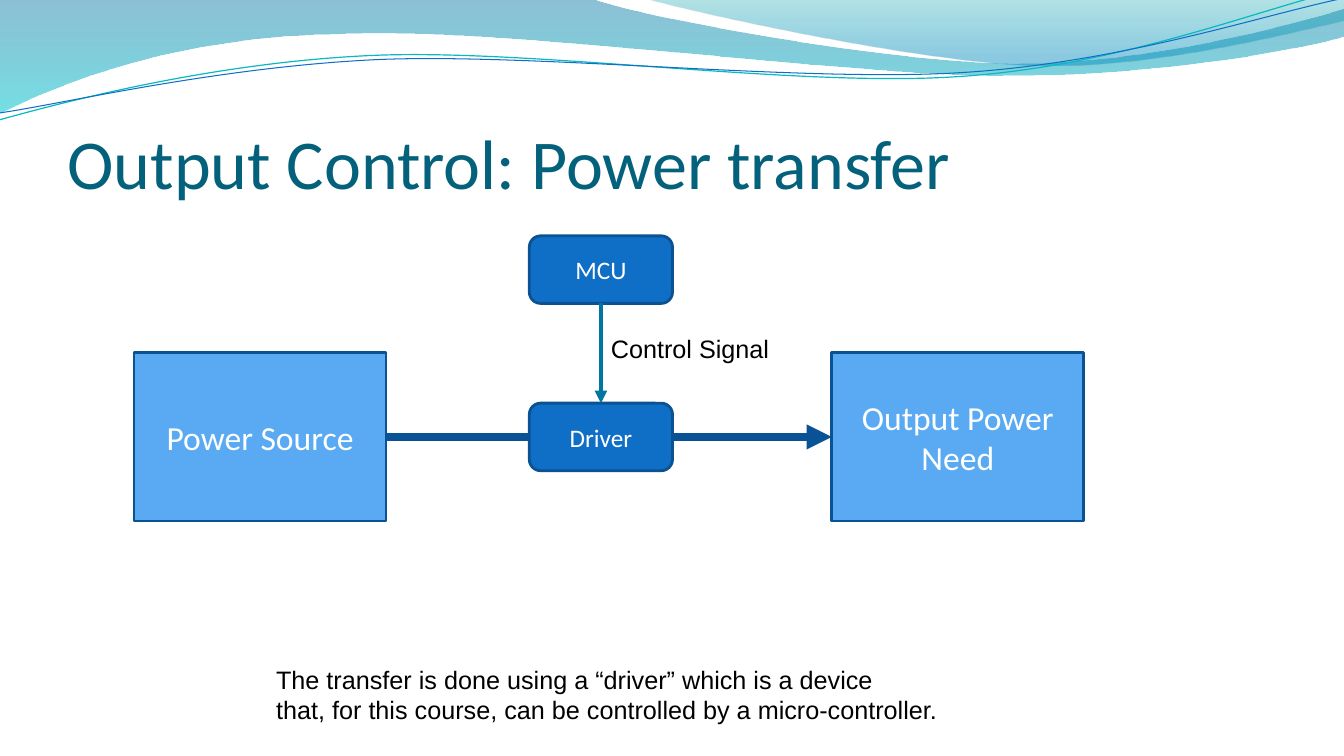
"""Build a slide on output control through a driver."""
from dataclasses import dataclass

from lxml import etree
from pptx import Presentation
from pptx import util as u
from pptx.dml.color import RGBColor
from pptx.enum import shapes, text
from pptx.oxml.ns import qn


@dataclass(frozen=True)
class Theme:
    """Colours, fonts and type sizes of the slide."""
    heading: str = "Calibri"
    body: str = "Arial"
    title: str = "04617B"
    block: str = "59AAF2"
    chip: str = "0F6FC6"
    outline: str = "0B5292"
    power: str = "095295"
    signal: str = "0076A3"
    wave_teal: str = "0AB8BF"
    white: str = "FFFFFF"
    black: str = "000000"
    title_size: int = 50
    block_size: int = 24
    small_size: int = 18
    left_wave: tuple = ((0, "0074A1", 45), (1, "00C6CF", 55))
    right_wave: tuple = ((0, "00A1A9", 30), (0.8, "008BBF", 45))


THEME = Theme()

LEFT_BAND = [
    [(0, 0)],
    [(5.87, -0.01)],
    [(6.34, 0.17), (8.85, 0.63), (10.11, 0.63)],
    [(11.38, 0.63), (12.78, 0.26), (13.33, 0.09)],
    [(13.35, 0.36)],
    [(13.11, 0.44), (11.6, 0.76), (9.94, 0.75)],
    [(8.29, 0.75), (5.09, 0.28), (3.43, 0.34)],
    [(1.72, 0.36), (0.61, 0.83), (-0.01, 1.13)],
]
RIGHT_BAND = [
    [(6.39, -0.01)],
    [(6.79, 0.11), (9.09, 0.62), (10.25, 0.65)],
    [(11.41, 0.69), (12.82, 0.32), (13.33, 0.21)],
    [(13.33, 0)],
]
TEAL_LINE = [
    [(-0.01, 1.19)],
    [(0.64, 1.01), (2.11, 0.62), (3.69, 0.55)],
    [(5.27, 0.48), (7.9, 0.87), (9.5, 0.76)],
    [(11.1, 0.66), (12.52, 0.08), (13.31, -0.1)],
]
BLUE_LINE = [
    [(0, 1.12)],
    [(0.63, 1.03), (2.18, 0.66), (3.78, 0.59)],
    [(5.37, 0.53), (7.96, 0.82), (9.55, 0.72)],
    [(11.15, 0.62), (12.55, 0.14), (13.34, -0.02)],
]


def rgb(value):
    """Return a colour object for a hex value."""
    return RGBColor.from_string(value)


def add_outline(slide, segments, close):
    """Add a freeform whose three-point segments are cubic curves."""
    points = [(u.Inches(x), u.Inches(y)) for segment in segments for x, y in segment]
    builder = slide.shapes.build_freeform(*points[0])
    builder.add_line_segments(points[1:], close=close)
    shape = builder.convert_to_shape()
    shape.shadow.inherit = False
    steps = shape.element.spPr.iter(qn("a:lnTo"))
    steps = iter(list(steps))
    for segment in segments[1:]:
        first, *others = [next(steps) for _ in segment]
        if others:
            first.tag = qn("a:cubicBezTo")
            for step in others:
                first.append(step[0])
                step.getparent().remove(step)
    return shape


def add_band(slide, segments, stops):
    """Add a wave band with a translucent vertical gradient."""
    shape = add_outline(slide, segments, close=True)
    shape.line.fill.background()
    shape.fill.gradient()
    shape.fill.gradient_angle = 270
    for stop, (position, color, _) in zip(shape.fill.gradient_stops, stops):
        stop.position = position
        stop.color.rgb = rgb(color)
    colors = shape.element.spPr.iter(qn("a:srgbClr"))
    for element, (_, _, opacity) in zip(colors, stops):
        etree.SubElement(element, qn("a:alpha"), val=str(opacity * 1000))


def add_wave_line(slide, segments, color, width):
    """Add a thin open wave line."""
    shape = add_outline(slide, segments, close=False)
    shape.fill.background()
    shape.line.color.rgb = rgb(color)
    shape.line.width = u.Pt(width)


def write(paragraph, content, font, size, color):
    """Add text to a paragraph, with a line break at each newline."""
    for number, line in enumerate(content.split("\n")):
        if number:
            paragraph.add_line_break()
        run = paragraph.add_run()
        run.text = line
        run.font.name = font
        run.font.size = u.Pt(size)
        run.font.color.rgb = rgb(color)


def set_title(slide, content):
    """Place and format the title."""
    title = slide.shapes.title
    title.left, title.top = u.Inches(0.67), u.Inches(0.77)
    title.width, title.height = u.Inches(12), u.Inches(1.25)
    frame = title.text_frame
    frame.auto_size = text.MSO_AUTO_SIZE.NONE
    frame.vertical_anchor = text.MSO_ANCHOR.BOTTOM
    frame.margin_left = frame.margin_right = frame.margin_bottom = 0
    frame.margin_top = u.Inches(0.05)
    frame.paragraphs[0].alignment = text.PP_ALIGN.LEFT
    write(frame.paragraphs[0], content, THEME.heading, THEME.title_size, THEME.title)


def add_box(slide, kind, place, content, fill, size):
    """Add a filled box with a centred label."""
    shape = slide.shapes.add_shape(kind, *map(u.Inches, place))
    shape.shadow.inherit = False
    shape.fill.solid()
    shape.fill.fore_color.rgb = rgb(fill)
    shape.line.color.rgb = rgb(THEME.outline)
    shape.line.width = u.Pt(2)
    frame = shape.text_frame
    frame.word_wrap = True
    frame.vertical_anchor = text.MSO_ANCHOR.MIDDLE
    frame.paragraphs[0].alignment = text.PP_ALIGN.CENTER
    write(frame.paragraphs[0], content, THEME.heading, size, THEME.white)
    return shape


def add_block(slide, left, content):
    """Add a large block on the power path."""
    return add_box(slide, shapes.MSO_SHAPE.RECTANGLE, (left, 3.5, 2.5, 1.67),
                   content, THEME.block, THEME.block_size)


def add_chip(slide, top, content):
    """Add a small rounded box in the control column."""
    return add_box(slide, shapes.MSO_SHAPE.ROUNDED_RECTANGLE, (5.25, top, 1.42, 0.67),
                   content, THEME.chip, THEME.small_size)


def add_arrow(slide, source, source_site, target, target_site, color, width):
    """Connect two boxes with an arrow."""
    arrow = slide.shapes.add_connector(shapes.MSO_CONNECTOR.STRAIGHT, 0, 0, 0, 0)
    arrow.begin_connect(source, source_site)
    arrow.end_connect(target, target_site)
    arrow.line.color.rgb = rgb(color)
    arrow.line.width = u.Pt(width)
    etree.SubElement(arrow.line._get_or_add_ln(), qn("a:tailEnd"), type="triangle")
    etree.SubElement(arrow._element.spPr, qn("a:effectLst"))


def add_note(slide, place, content):
    """Add a plain text box that does not wrap."""
    frame = slide.shapes.add_textbox(*map(u.Inches, place)).text_frame
    frame.word_wrap = False
    frame.auto_size = text.MSO_AUTO_SIZE.SHAPE_TO_FIT_TEXT
    write(frame.paragraphs[0], content, THEME.body, THEME.small_size, THEME.black)


def main():
    """Build and save the slide."""
    presentation = Presentation()
    presentation.slide_width, presentation.slide_height = u.Inches(13.33), u.Inches(7.5)
    slide = presentation.slides.add_slide(presentation.slide_layouts[5])
    add_band(slide, LEFT_BAND, THEME.left_wave)
    add_band(slide, RIGHT_BAND, THEME.right_wave)
    add_wave_line(slide, TEAL_LINE, THEME.wave_teal, 0.85)
    add_wave_line(slide, BLUE_LINE, THEME.chip, 0.75)
    set_title(slide, "Output Control: Power transfer")
    source = add_block(slide, 1.33, "Power Source")
    need = add_block(slide, 8.25, "Output Power Need")
    add_arrow(slide, source, 3, need, 1, THEME.power, 6)
    driver = add_chip(slide, 4, "Driver")
    controller = add_chip(slide, 2.34, "MCU")
    add_arrow(slide, controller, 2, driver, 0, THEME.signal, 3)
    add_note(slide, (5.96, 3.26, 1.79, 0.4), "Control Signal")
    add_note(slide, (2.64, 6.54, 6.82, 0.71),
             "The transfer is done using a “driver” which is a device\n"
             "that, for this course, can be controlled by a micro-controller.")
    presentation.save("out.pptx")


if __name__ == "__main__":
    main()
